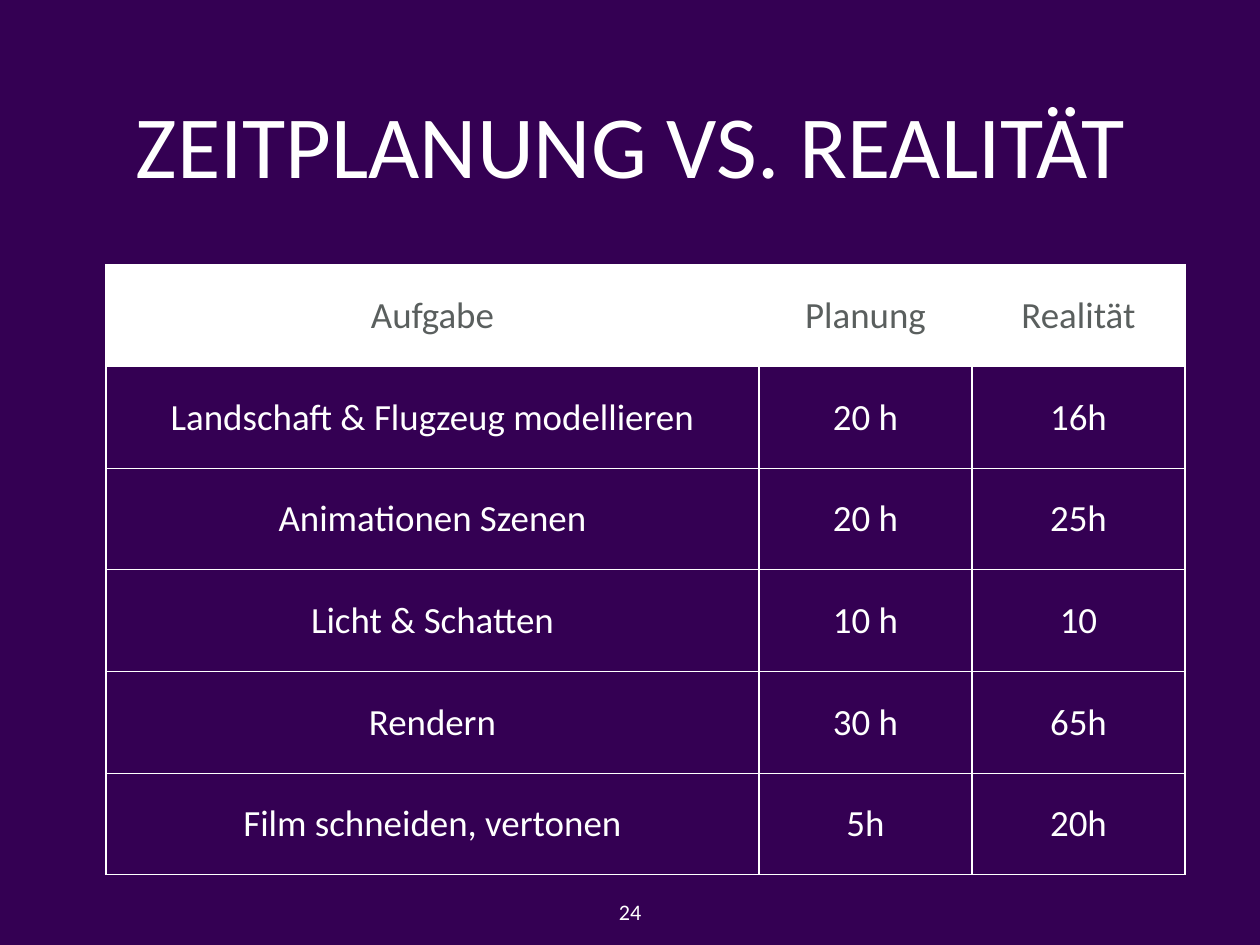
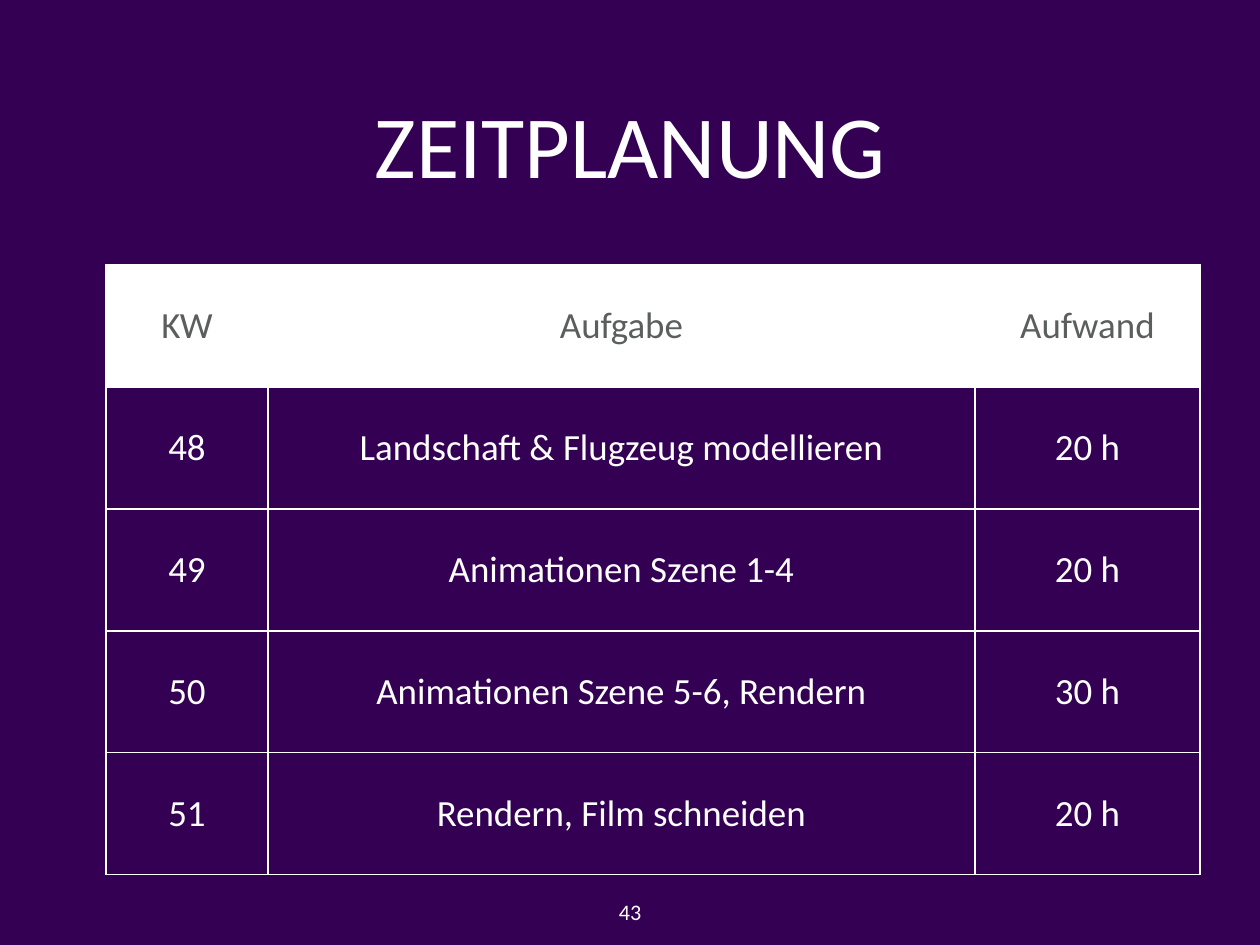
import lxml.etree
import pptx
import pptx.dml.color
import pptx.enum.text
import pptx.oxml.ns
import pptx.util

SCALE = 10320  # EMU per px
WHITE, GREY, PURPLE = "FFFFFF", "5A5F5E", "340053"
MIDDLE = pptx.enum.text.MSO_ANCHOR.MIDDLE
TOP = pptx.enum.text.MSO_ANCHOR.TOP
CENTER = pptx.enum.text.PP_ALIGN.CENTER


def px(length):
    return pptx.util.Emu(length * SCALE)


def color(value):
    return pptx.dml.color.RGBColor.from_string(value)


def apply(target, values):
    for name, value in values.items():
        setattr(target, name, value)


def margins(size):
    return {f"margin_{side}": px(size) for side in ("left", "top", "right", "bottom")}


class Deck:
    font = "Calibri"
    title_size, table_size, number_size = 72, 30, 18
    table_left, table_top, table_height = 106, 265, 610

    def __init__(self):
        self.presentation = pptx.Presentation()
        apply(self.presentation, {"slide_width": px(1260), "slide_height": px(945)})
        self.slide = None

    def add_slide(self, title, number):
        layout = self.presentation.slide_layouts[6]
        self.slide = self.presentation.slides.add_slide(layout)
        background = self.slide.background.fill
        background.solid()
        background.fore_color.rgb = color(PURPLE)
        self.add_text(title, (35, 25, 1191, 237), self.title_size)
        self.add_text(number, (613, 898, 34, 35), self.number_size, anchor=TOP, wrap=False)

    def set_text(self, frame, text, size, text_color):
        paragraph = frame.paragraphs[0]
        paragraph.alignment = CENTER
        run = paragraph.add_run()
        run.text = text
        apply(run.font, {"name": self.font, "size": pptx.util.Pt(size)})
        run.font.color.rgb = color(text_color)

    def add_text(self, text, box, size, anchor=MIDDLE, wrap=True):
        frame = self.slide.shapes.add_textbox(*map(px, box)).text_frame
        apply(frame, {"word_wrap": wrap, "vertical_anchor": anchor, **margins(0)})
        self.set_text(frame, text, size, WHITE)

    def add_borders(self, cell):
        properties = cell._tc.get_or_add_tcPr()
        for side in "LRTB":
            line = lxml.etree.SubElement(
                properties, pptx.oxml.ns.qn(f"a:ln{side}"), w=str(pptx.util.Pt(1)))
            fill = lxml.etree.SubElement(line, pptx.oxml.ns.qn("a:solidFill"))
            lxml.etree.SubElement(fill, pptx.oxml.ns.qn("a:srgbClr"), val=WHITE)

    def add_table(self, widths, rows):
        box = (self.table_left, self.table_top, sum(widths), self.table_height)
        table = self.slide.shapes.add_table(len(rows), len(widths), *map(px, box)).table
        apply(table, {"first_row": False, "horz_banding": False})
        for column, width in zip(table.columns, widths):
            column.width = px(width)
        for row_index, texts in enumerate(rows):
            table.rows[row_index].height = px(self.table_height) // len(rows)
            for column_index, text in enumerate(texts):
                cell = table.cell(row_index, column_index)
                self.fill_cell(cell, text, header=row_index == 0)

    def fill_cell(self, cell, text, header):
        apply(cell, {"vertical_anchor": MIDDLE, **margins(5)})
        self.add_borders(cell)
        # The header is a white band, the body lets the background through
        if header:
            cell.fill.solid()
            cell.fill.fore_color.rgb = color(WHITE)
        else:
            cell.fill.background()
        self.set_text(cell.text_frame, text, self.table_size, GREY if header else WHITE)


def main():
    deck = Deck()

    # Plan against reality
    deck.add_slide("ZEITPLANUNG VS. REALITÄT", "24")
    deck.add_table((653, 213, 213), [
        ("Aufgabe", "Planung", "Realität"),
        ("Landschaft & Flugzeug modellieren", "20 h", "16h"),
        ("Animationen Szenen", "20 h", "25h"),
        ("Licht & Schatten", "10 h", "10"),
        ("Rendern", "30 h", "65h"),
        ("Film schneiden, vertonen", "5h", "20h"),
    ])

    # Plan by calendar week
    deck.add_slide("ZEITPLANUNG", "43")
    deck.add_table((162, 707, 225), [
        ("KW", "Aufgabe", "Aufwand"),
        ("48", "Landschaft & Flugzeug modellieren", "20 h"),
        ("49", "Animationen Szene 1-4", "20 h"),
        ("50", "Animationen Szene 5-6, Rendern", "30 h"),
        ("51", "Rendern, Film schneiden", "20 h"),
    ])

    deck.presentation.save("out.pptx")


if __name__ == "__main__":
    main()
